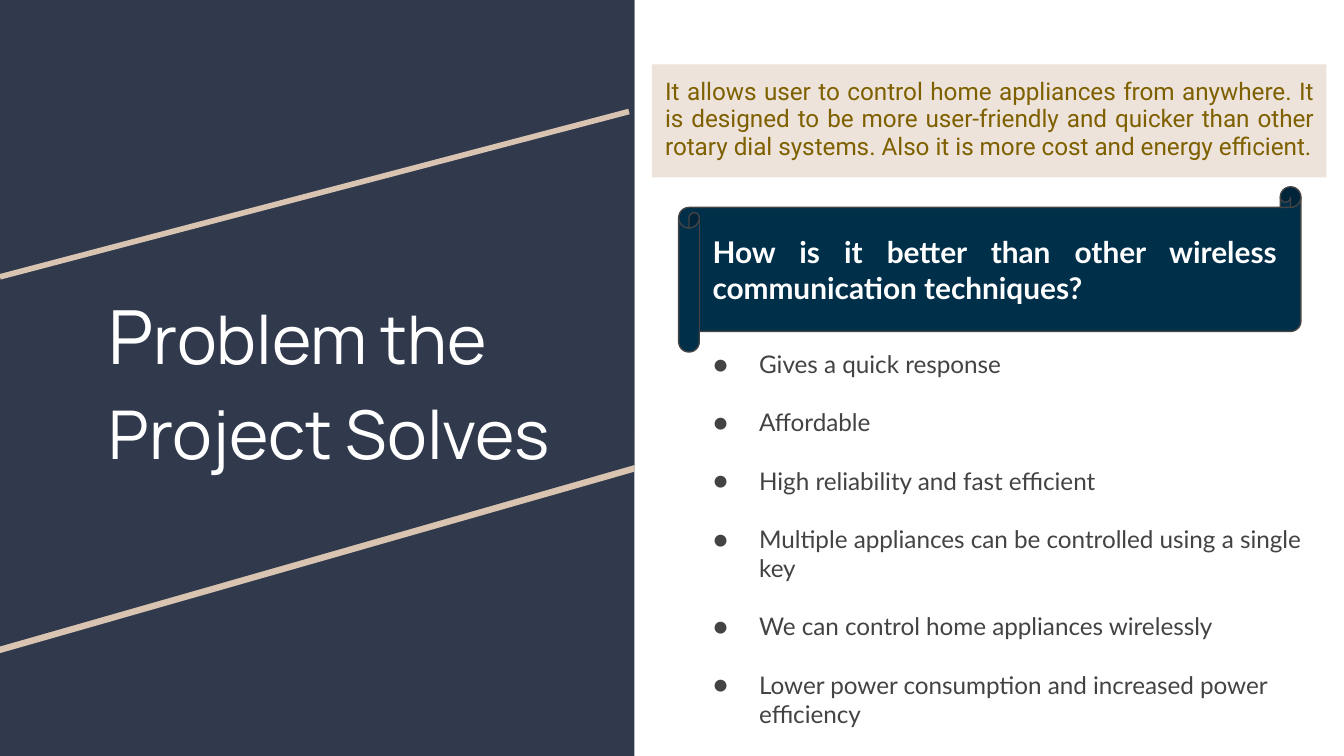
from lxml.etree import SubElement
from pptx import Presentation
from pptx.dml.color import RGBColor
from pptx.enum.shapes import MSO_CONNECTOR, MSO_SHAPE
from pptx.enum.text import MSO_ANCHOR, PP_ALIGN
from pptx.oxml.ns import qn
from pptx.util import Inches, Pt

WIDTH = 10
HEIGHT = WIDTH * 9 / 16
COLORS = {
    "navy": "31394D",
    "sand": "D9C4B1",
    "cream": "EDE3DA",
    "olive": "7F6000",
    "ink": "434343",
    "scroll": "002F4A",
    "white": "FFFFFF",
}
ADVANTAGES = [
    "Gives a quick response",
    "Affordable",
    "High reliability and fast efficient",
    "Multiple appliances can be controlled using a single key",
    "We can control home appliances wirelessly",
    "Lower power consumption and increased power efficiency",
]


def color(name):
    return RGBColor.from_string(COLORS[name])


def write(para, text, font="Lato", size=13, ink="ink", bold=False,
          align=PP_ALIGN.LEFT, spacing=1.0, after=0, left=0, hanging=0, bullet=None):
    span = para.add_run()
    span.text = text
    span.font.name = font
    span.font.size = Pt(size)
    span.font.bold = bold
    span.font.color.rgb = color(ink)
    para.alignment = align
    para.line_spacing = spacing
    para.space_after = Pt(after)
    properties = para._p.get_or_add_pPr()
    properties.set("marL", str(Inches(left)))
    properties.set("indent", str(-Inches(hanging)))
    if bullet:
        tint = SubElement(properties, qn("a:buClr"))
        SubElement(tint, qn("a:srgbClr")).set("val", COLORS[ink])
        SubElement(properties, qn("a:buFont")).set("typeface", font)
        SubElement(properties, qn("a:buChar")).set("char", bullet)


class SlideBuilder:
    """Hold the deck style and draw elements on the current slide."""

    margin = 0.1

    def __init__(self, deck):
        self.page = deck.slides.add_slide(deck.slide_layouts[6])

    def finish(self, shape, fill, line=None):
        shape.shadow.inherit = False
        shape.fill.solid()
        shape.fill.fore_color.rgb = color(fill)
        if line:
            shape.line.color.rgb = color(line)
            shape.line.width = Pt(0.75)
        else:
            shape.line.fill.background()
        return shape

    def frame(self, box, anchor=MSO_ANCHOR.TOP):
        frame = box.text_frame
        frame.word_wrap = True
        frame.vertical_anchor = anchor
        frame.margin_left = frame.margin_right = Inches(self.margin)
        frame.margin_top = frame.margin_bottom = Inches(self.margin)
        return frame

    def shape(self, kind, area, fill, line=None):
        box = self.page.shapes.add_shape(kind, *map(Inches, area))
        return self.finish(box, fill, line)

    def text_box(self, area):
        return self.frame(self.page.shapes.add_textbox(*map(Inches, area)))

    def polygon(self, points, fill):
        start, *rest = [(Inches(x), Inches(y)) for x, y in points]
        builder = self.page.shapes.build_freeform(*start)
        builder.add_line_segments(rest, close=True)
        return self.finish(builder.convert_to_shape(), fill)

    def line(self, start, end, ink, width):
        stroke = self.page.shapes.add_connector(
            MSO_CONNECTOR.STRAIGHT, *map(Inches, start + end))
        stroke.line.color.rgb = color(ink)
        stroke.line.width = Pt(width)
        SubElement(stroke._element.spPr, qn("a:effectLst"))


def main():
    deck = Presentation()
    deck.slide_width, deck.slide_height = Inches(WIDTH), Inches(HEIGHT)
    slide = SlideBuilder(deck)

    slide.shape(MSO_SHAPE.RECTANGLE, (0, 0, 4.72, HEIGHT), "navy")
    slide.polygon([(0, 0.05), (4.71, 0.05), (4.72, 3.51), (0, 4.86)], "sand")
    slide.polygon([(0, 0), (4.72, 0), (4.72, 3.46), (0, 4.81)], "navy")

    title = slide.text_box((0.21, 1.96, 4.27, 4.13)).paragraphs[0]
    for text, size in (("P", 40), ("roblem the Project Solves", 36)):
        write(title, text, font="Manrope", size=size, ink="white", spacing=1.15, left=0.5)

    summary = slide.shape(MSO_SHAPE.RECTANGLE, (4.85, 0.48, 5.02, 0.84), "cream")
    write(slide.frame(summary).paragraphs[0],
          "It allows user to control home appliances from anywhere. It is designed to be "
          "more user-friendly and quicker than other rotary dial systems. Also it is more "
          "cost and energy efficient.",
          font="Roboto", ink="olive", align=PP_ALIGN.JUSTIFY, spacing=0.95)
    slide.line((0, 2.06), (4.68, 0.83), "sand", 3)

    advantages = slide.text_box((5.05, 2.5, 4.78, 3.05))
    for index, text in enumerate(ADVANTAGES):
        para = advantages.add_paragraph() if index else advantages.paragraphs[0]
        write(para, text, after=15.6, left=0.5, hanging=0.34, bullet="●")

    scroll = slide.shape(MSO_SHAPE.HORIZONTAL_SCROLL, (5.05, 1.39, 4.63, 1.23),
                         "scroll", line="ink")
    write(slide.frame(scroll, MSO_ANCHOR.MIDDLE).paragraphs[0],
          "How is it better than other wireless communication techniques?",
          size=16, ink="white", bold=True, align=PP_ALIGN.JUSTIFY)

    deck.save("out.pptx")


if __name__ == "__main__":
    main()
